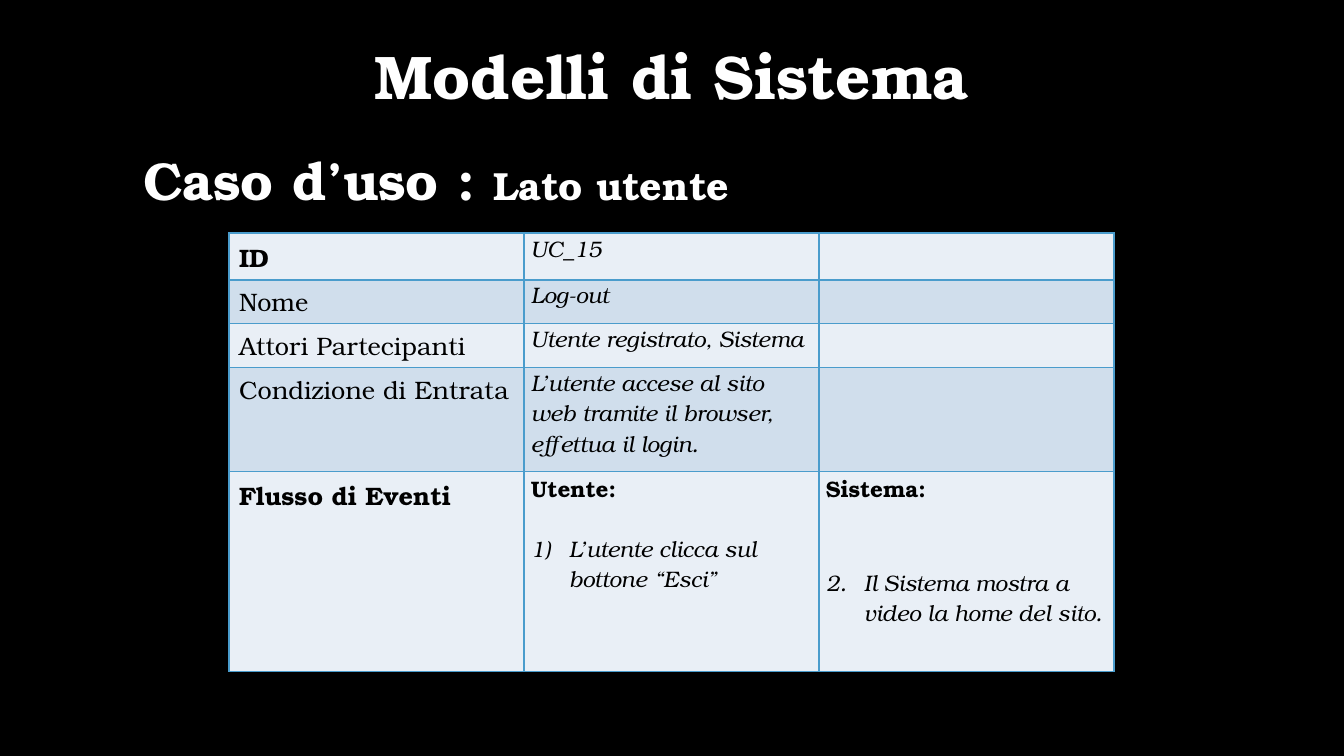
from lxml.etree import SubElement
from pptx import Presentation
from pptx.dml.color import RGBColor
from pptx.enum.text import MSO_ANCHOR, MSO_AUTO_SIZE, PP_ALIGN
from pptx.oxml.ns import qn
from pptx.util import Pt

# Content: each cell is a list of (text, format) lines
TITLE = "Modelli di Sistema"
HEADING = [("Caso d’uso : ", 38), ("Lato utente", 28)]
BOLD = {"size": 16, "bold": True}
ITALIC = {"size": 16, "italic": True}
LABEL = {"size": 18}
STRONG_LABEL = {"size": 18, "bold": True}
USER_STEP = {**ITALIC, "before": 21, "number": ("arabicParenR", 1)}
SYSTEM_STEP = {**ITALIC, "before": 45, "number": ("arabicPeriod", 2)}
ROWS = [
    [[("ID", STRONG_LABEL)], [("UC_15", ITALIC)], []],
    [[("Nome", LABEL)], [("Log-out", ITALIC)], []],
    [[("Attori Partecipanti", LABEL)], [("Utente registrato, Sistema", ITALIC)], []],
    [[("Condizione di Entrata", LABEL)],
     [("L’utente accese al sito web tramite il browser, effettua il login.", ITALIC)], []],
    [[("Flusso di Eventi", STRONG_LABEL)],
     [("Utente:", BOLD), ("L’utente clicca sul bottone “Esci”", USER_STEP)],
     [("Sistema:", BOLD), ("Il Sistema mostra a video la home del sito.", SYSTEM_STEP)]],
]

# Layout in px
ROW_HEIGHTS = [47, 43, 44, 104, 200]
COLUMN_WIDTH, COLUMNS = 295, 3
TABLE_LEFT, TABLE_TOP = 229, 233
STEP_INDENT = 38
FONT = "TeX Gyre Bonum"
COLORS = {"page": "000000", "heading": "FFFFFF", "text": "000000",
          "light": "E9EFF6", "dark": "D0DEEC", "border": "4A9CCC"}


def px(length):
    return round(length * 914400 / 100.8)


def color(name):
    return RGBColor.from_string(COLORS[name])


def add_span(para, text, size, bold=False, italic=False, ink="text"):
    span = para.add_run()
    span.text = text
    span.font.name = FONT
    span.font.size = Pt(size)
    span.font.bold = bold
    span.font.italic = italic
    span.font.color.rgb = color(ink)


def number_para(para, scheme, start):
    properties = para._p.get_or_add_pPr()
    properties.set("marL", str(px(STEP_INDENT)))
    properties.set("indent", str(-px(STEP_INDENT)))
    SubElement(properties, qn("a:buFont"), typeface="+mj-lt")
    SubElement(properties, qn("a:buAutoNum"), type=scheme, startAt=str(start))


def set_borders(cell):
    properties = cell._tc.get_or_add_tcPr()
    for position, side in enumerate(("a:lnL", "a:lnR", "a:lnT", "a:lnB")):
        line = properties.makeelement(qn(side), {"w": str(Pt(1))})
        fill = SubElement(line, qn("a:solidFill"))
        SubElement(fill, qn("a:srgbClr"), val=COLORS["border"])
        properties.insert(position, line)


def place_heading(box, bounds, spans, align):
    box.left, box.top, box.width, box.height = map(px, bounds)
    box.fill.solid()
    box.fill.fore_color.rgb = color("page")
    frame = box.text_frame
    frame.word_wrap = True
    frame.auto_size = MSO_AUTO_SIZE.NONE
    frame.vertical_anchor = MSO_ANCHOR.TOP
    para = frame.paragraphs[0]
    para.alignment = align
    para.line_spacing = 0.9
    para.space_before = Pt(0)
    for text, size in spans:
        add_span(para, text, size, bold=True, ink="heading")
    return para


def fill_cell(cell, lines, shade, label):
    cell.fill.solid()
    cell.fill.fore_color.rgb = color(shade)
    set_borders(cell)
    if not label:
        cell.margin_left = cell.margin_right = px(7)
        cell.margin_top = cell.margin_bottom = 0
    for index, (text, style) in enumerate(lines):
        frame = cell.text_frame
        para = frame.add_paragraph() if index else frame.paragraphs[0]
        style = dict(style)
        para.space_before = Pt(style.pop("before", 0))
        number = style.pop("number", None)
        if number:
            number_para(para, *number)
        add_span(para, text, **style)


def main():
    deck = Presentation()
    deck.slide_width, deck.slide_height = px(1344), px(756)
    page = deck.slides.add_slide(deck.slide_layouts[1])
    page.background.fill.solid()
    page.background.fill.fore_color.rgb = color("page")

    # Title and heading
    place_heading(page.shapes.title, (0, 41, 1344, 89), [(TITLE, 44)], PP_ALIGN.CENTER)
    para = place_heading(page.placeholders[1], (133, 149, 1078, 577), HEADING, PP_ALIGN.LEFT)
    properties = para._p.get_or_add_pPr()
    properties.set("marL", "0")
    properties.set("indent", "0")
    SubElement(properties, qn("a:buNone"))

    # Use case table
    table = page.shapes.add_table(
        len(ROWS), COLUMNS, px(TABLE_LEFT), px(TABLE_TOP),
        px(COLUMN_WIDTH * COLUMNS), px(sum(ROW_HEIGHTS))).table
    for column in table.columns:
        column.width = px(COLUMN_WIDTH)
    for row, (cells, height) in enumerate(zip(ROWS, ROW_HEIGHTS)):
        table.rows[row].height = px(height)
        for column, lines in enumerate(cells):
            fill_cell(table.cell(row, column), lines,
                      "dark" if row % 2 else "light", label=column == 0)

    deck.save("out.pptx")


if __name__ == "__main__":
    main()
